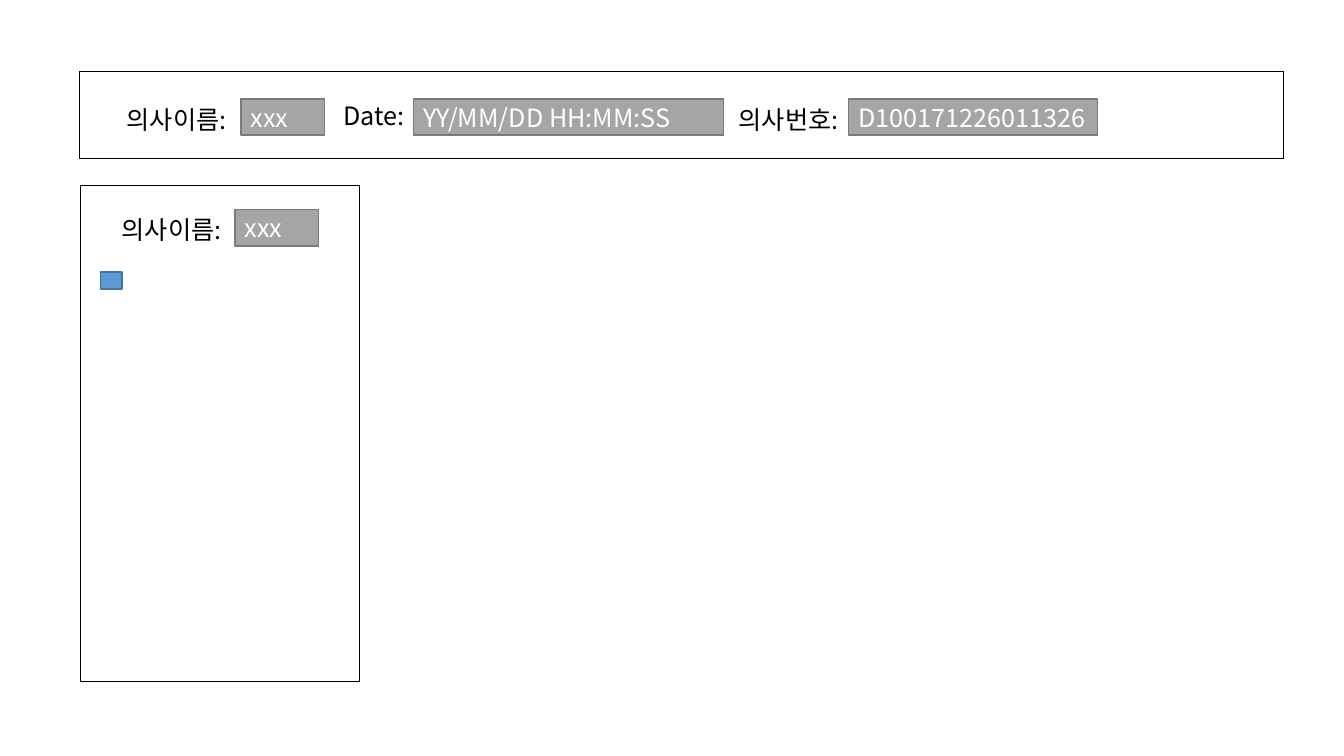
from dataclasses import dataclass

from lxml.etree import SubElement
from pptx import Presentation
from pptx.dml.color import RGBColor
from pptx.enum.shapes import MSO_SHAPE
from pptx.enum.text import MSO_ANCHOR, MSO_AUTO_SIZE, PP_ALIGN
from pptx.oxml.ns import qn
from pptx.shapes.autoshape import Shape
from pptx.slide import Slide
from pptx.util import Pt

FONT = "Noto Sans CJK KR"
BLACK = "000000"
WHITE = "FFFFFF"
GRAY = "A5A5A5"
DARK_GRAY = "7A7A7A"
BLUE = "5B9BD5"
DARK_BLUE = "43739E"

FIELD_HEIGHT = 25.9
LABEL_HEIGHT = 29.1
HEADER_TOP = 70.6
PANEL_TOP = 149.8


@dataclass(frozen=True)
class Box:
    left: float
    top: float
    width: float
    height: float

    def lengths(self) -> tuple[Pt, Pt, Pt, Pt]:
        return Pt(self.left), Pt(self.top), Pt(self.width), Pt(self.height)


@dataclass(frozen=True)
class Field:
    """A label followed by a gray value box."""
    label: str
    label_left: float
    label_top: float
    label_width: float
    value: str
    value_left: float
    value_top: float
    value_width: float
    wrap: bool = False


FRAMES = [
    Box(56.9, 51.1, 859.7, 61.9),
    Box(57.6, 132.5, 199.4, 354.2),
]
MARKER = Box(72, 194.4, 15.1, 12.2)
FIELDS = [
    Field("의사이름:", 83.5, HEADER_TOP, 91.4, "xxx", 172.1, HEADER_TOP, 59.8),
    Field("Date:", 238.3, 68.4, 68.4,
          "YY/MM/DD HH:MM:SS", 295.2, HEADER_TOP, 221.8, wrap=True),
    Field("의사번호:", 520.6, HEADER_TOP, 115.2,
          "D100171226011326", 606.2, HEADER_TOP, 177.8, wrap=True),
    Field("의사이름:", 79.9, PANEL_TOP, 91.4, "xxx", 167.8, PANEL_TOP, 59.8),
]


def color(value: str) -> RGBColor:
    return RGBColor.from_string(value)


def add_frame(slide: Slide, box: Box) -> None:
    """Draw an empty one-cell table with a black border."""
    table = slide.shapes.add_table(1, 1, *box.lengths()).table
    table.first_row = False
    table.horz_banding = False
    cell = table.cell(0, 0)
    properties = cell._tc.get_or_add_tcPr()
    for side in ("a:lnL", "a:lnR", "a:lnT", "a:lnB"):
        border = SubElement(properties, qn(side), w=str(Pt(1)))
        fill = SubElement(border, qn("a:solidFill"))
        SubElement(fill, qn("a:srgbClr"), val=BLACK)
    cell.fill.background()


def add_rectangle(shapes, box: Box, fill: str, line: str) -> Shape:
    shape = shapes.add_shape(MSO_SHAPE.RECTANGLE, *box.lengths())
    shape.shadow.inherit = False
    shape.fill.solid()
    shape.fill.fore_color.rgb = color(fill)
    shape.line.color.rgb = color(line)
    shape.line.width = Pt(1)
    return shape


def write(shape: Shape, text: str, font_color: str) -> None:
    shape.text_frame.text = text
    paragraph = shape.text_frame.paragraphs[0]
    paragraph.alignment = PP_ALIGN.LEFT
    run = paragraph.runs[0]
    run.font.size = Pt(18)
    run.font.name = FONT
    run.font.color.rgb = color(font_color)
    SubElement(run.font._element, qn("a:ea"), typeface=FONT)


def add_field(slide: Slide, field: Field) -> None:
    group = slide.shapes.add_group_shape()
    value_box = Box(field.value_left, field.value_top, field.value_width, FIELD_HEIGHT)
    value = add_rectangle(group.shapes, value_box, GRAY, DARK_GRAY)
    value.text_frame.vertical_anchor = MSO_ANCHOR.MIDDLE
    write(value, field.value, WHITE)

    label_box = Box(field.label_left, field.label_top, field.label_width, LABEL_HEIGHT)
    label = group.shapes.add_textbox(*label_box.lengths())
    label.text_frame.word_wrap = field.wrap
    label.text_frame.auto_size = MSO_AUTO_SIZE.SHAPE_TO_FIT_TEXT
    write(label, field.label, BLACK)


def main() -> None:
    presentation = Presentation()
    presentation.slide_width = Pt(960)
    presentation.slide_height = Pt(540)
    slide = presentation.slides.add_slide(presentation.slide_layouts[6])
    for frame in FRAMES:
        add_frame(slide, frame)
    add_rectangle(slide.shapes, MARKER, BLUE, DARK_BLUE)
    for field in FIELDS:
        add_field(slide, field)
    presentation.save("out.pptx")


if __name__ == "__main__":
    main()
